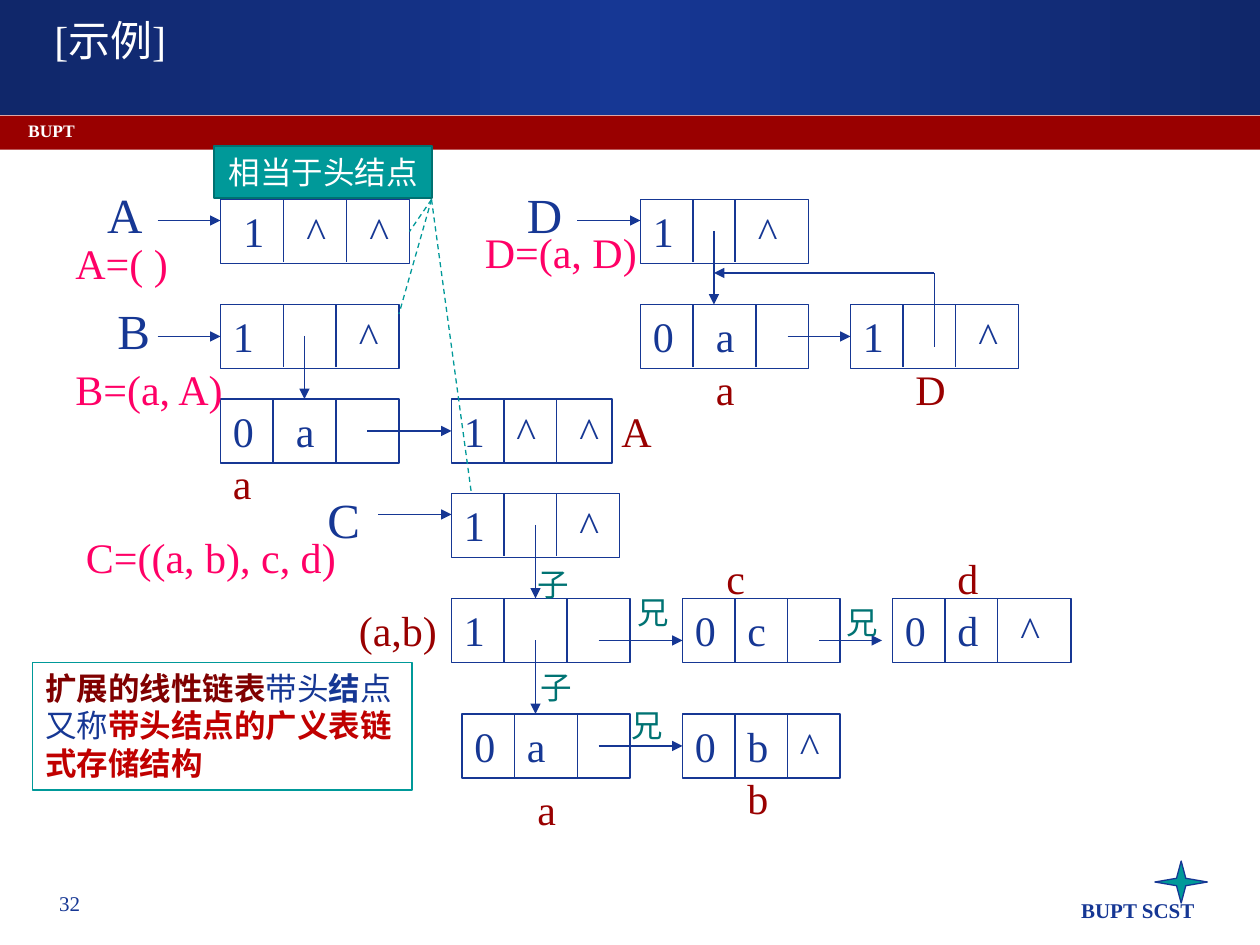
from copy import deepcopy
from dataclasses import dataclass

from lxml import etree
from pptx import Presentation
from pptx.dml.color import RGBColor
from pptx.enum import dml, shapes, text
from pptx.oxml.ns import qn
from pptx.util import Cm, Pt

SERIF = "Times New Roman"
HAN = "Noto Sans CJK SC"
NAVY, RED, PINK, TEAL, GREEN = "163794", "990000", "FF0066", "009999", "007373"
WHITE = "FFFFFF"
NODE_HEIGHT = 6.1
LEFT_SIDE, RIGHT_SIDE = 1, 3


@dataclass
class Node:
    key: str
    x: float
    y: float
    width: float
    dividers: tuple[float, ...]
    cells: tuple[tuple[float, str], ...]


@dataclass
class Label:
    x: float
    y: float
    wording: str
    color: str
    size: float = 24
    font: str = SERIF


@dataclass
class Line:
    start: tuple[float, float]
    end: tuple[float, float] | str
    side: int = LEFT_SIDE
    arrow: bool = True
    dashed: bool = False


NODES = [
    Node("A", 21, 19, 18, (6, 12), ((1, "1"), (7, "^"), (13, "^"))),
    Node("B", 21, 29, 17, (6, 11), ((0, "1"), (12, "^"))),
    Node("B.a", 21, 38, 17, (5, 11), ((0, "0"), (6, "a"))),
    Node("B.A", 43, 38, 15.3, (5, 10), ((0, "1"), (5, "^"), (11, "^"))),
    Node("C", 43, 47, 16, (5, 10), ((0, "1"), (11, "^"))),
    Node("C.ab", 43, 57, 17, (5, 11), ((0, "1"),)),
    Node("C.c", 65, 57, 15, (5, 10), ((0, "0"), (5, "c"))),
    Node("C.d", 85, 57, 17, (5, 10), ((0, "0"), (5, "d"), (11, "^"))),
    Node("C.a", 44, 68, 16, (5, 11), ((0, "0"), (5, "a"))),
    Node("C.b", 65, 68, 15, (5, 10), ((0, "0"), (5, "b"), (10, "^"))),
    Node("D", 61, 19, 16, (5, 9), ((0, "1"), (10, "^"))),
    Node("D.a", 61, 29, 16, (5, 11), ((0, "0"), (6, "a"))),
    Node("D.D", 81, 29, 16, (5, 10), ((0, "1"), (11, "^"))),
]

LABELS = [
    Label(10, 28, "B", NAVY, 28), Label(30, 46, "C", NAVY, 28), Label(49, 17, "D", NAVY, 28),
    Label(6, 22, "A=( )", PINK), Label(6, 34, "B=(a, A)", PINK),
    Label(7, 50, "C=((a, b), c, d)", PINK), Label(45, 21, "D=(a, D)", PINK),
    Label(67, 34, "a", RED), Label(86, 34, "D", RED), Label(21, 43, "a", RED),
    Label(58, 38, "A", RED), Label(33, 57, "(a,b)", RED), Label(68, 52, "c", RED),
    Label(90, 52, "d", RED), Label(50, 74, "a", RED), Label(70, 73, "b", RED),
    Label(50, 53.2, "子", GREEN, 18, HAN), Label(59.5, 55.9, "兄", GREEN, 18, HAN),
    Label(50.3, 63.1, "子", GREEN, 18, HAN), Label(79.4, 56.9, "兄", GREEN, 18, HAN),
    Label(59, 66.7, "兄", GREEN, 18, HAN),
]

CORNER = (41.1, 19)
LINES = [
    Line((15, 21), (21, 21)), Line((15, 32.05), "B"), Line((29, 32), (29, 38)),
    Line((35, 41.05), "B.A"), Line((36, 49), (43, 49)), Line((51, 50), (51, 57)),
    Line((57, 61), (65, 61)), Line((78, 61), (84, 61)), Line((51, 61), (51, 68)),
    Line((57, 71.05), "C.b"), Line((55, 21), (61, 21)), Line((68, 22), (68, 29)),
    Line((75, 32.05), "D.D"), Line((89, 33), (89, 26), arrow=False), Line((89, 26), (68, 26)),
    Line(CORNER, "A", RIGHT_SIDE, arrow=False, dashed=True),
    Line(CORNER, (38, 29.9), arrow=False, dashed=True),
    Line(CORNER, (44.9, 47), arrow=False, dashed=True),
]

NOTE = [
    ("扩展的线性链表", "800000", True), ("带头", NAVY, False), ("结", NAVY, True),
    ("点又称", NAVY, False), ("带头结点的广义表链式存储结构", "C00000", True),
]


def grid(twelfths: float) -> Cm:
    return Cm(twelfths * 2.54 / 12)


def rgb(color: str) -> RGBColor:
    return RGBColor.from_string(color)


def style(paragraph, size: float, color: str, font: str = SERIF, bold: bool = False) -> None:
    paragraph.font.size = Pt(size)
    paragraph.font.name = font
    paragraph.font.bold = bold
    paragraph.font.color.rgb = rgb(color)
    defaults = paragraph._p.pPr.find(qn("a:defRPr"))
    etree.SubElement(defaults, qn("a:ea"), typeface=HAN)
    if font == HAN:
        paragraph.line_spacing = Pt(21.5)


def add_words(slide, x, y, width, height, wording, size, color, font=SERIF, bold=False,
              align=text.PP_ALIGN.LEFT) -> None:
    frame = slide.shapes.add_textbox(x, y, width, height).text_frame
    frame.word_wrap = True
    paragraph = frame.paragraphs[0]
    paragraph.text = wording
    paragraph.alignment = align
    style(paragraph, size, color, font, bold)


def add_box(slide, x, y, width, height, fill=None, line=None, weight=0.75,
            preset=shapes.MSO_SHAPE.RECTANGLE):
    box = slide.shapes.add_shape(preset, x, y, width, height)
    box.shadow.inherit = False
    if fill:
        box.fill.solid()
        box.fill.fore_color.rgb = rgb(fill)
    else:
        box.fill.background()
    if line:
        box.line.color.rgb = rgb(line)
        box.line.width = Pt(weight)
    else:
        box.line.fill.background()
    box.text_frame.vertical_anchor = text.MSO_ANCHOR.TOP
    box.text_frame.paragraphs[0].alignment = text.PP_ALIGN.LEFT
    return box


def add_line(slide, start, end, color: str = NAVY):
    line = slide.shapes.add_connector(
        shapes.MSO_CONNECTOR.STRAIGHT, *map(grid, start), *map(grid, end))
    line.line.color.rgb = rgb(color)
    line.line.width = Pt(0.75)
    etree.SubElement(line._element.spPr, qn("a:effectLst"))
    return line


def draw_node(slide, node: Node):
    box = add_box(slide, grid(node.x), grid(node.y), grid(node.width), grid(NODE_HEIGHT), line=NAVY)
    first = node.cells[0][0]
    box.text_frame.margin_left = Cm(0.25) + grid(first)
    box.text_frame.margin_right = 0
    paragraph = box.text_frame.paragraphs[0]
    paragraph.text = "\t".join(mark for _, mark in node.cells)
    if len(node.cells) > 1:
        tabs = etree.SubElement(paragraph._p.get_or_add_pPr(), qn("a:tabLst"))
        for offset, _ in node.cells[1:]:
            etree.SubElement(tabs, qn("a:tab"), pos=str(grid(offset - first)), algn="l")
    style(paragraph, 24, NAVY)
    for divider in node.dividers:
        x = node.x + divider
        add_line(slide, (x, node.y), (x, node.y + 6))
    return box


def draw_line(slide, spec: Line, boxes: dict) -> None:
    joined = isinstance(spec.end, str)
    line = add_line(slide, spec.start, spec.start if joined else spec.end,
                    TEAL if spec.dashed else NAVY)
    if joined:
        line.end_connect(boxes[spec.end], spec.side)
    if spec.dashed:
        line.line.dash_style = dml.MSO_LINE.DASH
    if spec.arrow:
        etree.SubElement(line.line._get_or_add_ln(), qn("a:tailEnd"), type="triangle")


def draw_banner(slide) -> None:
    band = add_box(slide, 0, 0, Cm(25.4), Cm(2.32), fill=NAVY)
    band.fill.gradient()
    band.fill.gradient_angle = 0
    stops = band._element.spPr.find(".//" + qn("a:gsLst"))
    stops.append(deepcopy(stops[0]))
    for stop, place, color in zip(band.fill.gradient_stops, (0, 0.5, 1), ("10276A", NAVY, "10276A")):
        stop.position = place
        stop.color.rgb = rgb(color)
    add_box(slide, 0, Cm(2.33), Cm(25.4), Cm(0.69), fill=RED)
    add_words(slide, Cm(0.32), Cm(2.29), Cm(23.5), Cm(0.64), "BUPT", 10, WHITE, bold=True)


def fill_placeholder(holder, x, y, width, height, wording, size, color) -> None:
    holder.left, holder.top, holder.width, holder.height = x, y, width, height
    frame = holder.text_frame
    frame.auto_size = text.MSO_AUTO_SIZE.NONE
    paragraph = frame.paragraphs[0]
    paragraph.text = wording
    paragraph.alignment = text.PP_ALIGN.LEFT
    paragraph.space_before = Pt(0)
    properties = paragraph._p.get_or_add_pPr()
    properties.set("marL", "0")
    properties.set("indent", "0")
    etree.SubElement(properties, qn("a:buNone"))
    style(paragraph, size, color)


def main() -> None:
    deck = Presentation()
    deck.slide_width, deck.slide_height = Cm(25.4), Cm(19.05)
    slide = deck.slides.add_slide(deck.slide_layouts[1])
    title, body = slide.placeholders
    draw_banner(slide)
    slide.shapes._spTree.append(title._element)
    fill_placeholder(title, Cm(0.84), Cm(0.43), Cm(23.5), Cm(0.74), "[示例]", 24, WHITE)
    fill_placeholder(body, grid(9), grid(17), grid(102), grid(63), "A", 28, NAVY)

    boxes = {node.key: draw_node(slide, node) for node in NODES}
    for label in LABELS:
        add_words(slide, grid(label.x), grid(label.y), grid(len(label.wording) + 12), grid(6),
                  label.wording, label.size, label.color, label.font)

    heading = add_box(slide, Cm(4.32), Cm(2.95), Cm(4.39), Cm(1.04), TEAL, "007171", 1)
    heading.text_frame.vertical_anchor = text.MSO_ANCHOR.MIDDLE
    caption = heading.text_frame.paragraphs[0]
    caption.text = "相当于头结点"
    caption.alignment = text.PP_ALIGN.CENTER
    style(caption, 18, WHITE, HAN)

    note = add_box(slide, Cm(0.66), Cm(13.36), Cm(7.65), Cm(2.57), line=TEAL)
    sentence = note.text_frame.paragraphs[0]
    style(sentence, 18, NAVY, HAN)
    for wording, color, bold in NOTE:
        run = sentence.add_run()
        run.text = wording
        run.font.color.rgb = rgb(color)
        run.font.bold = bold

    for line in LINES:
        draw_line(slide, line, boxes)

    star = add_box(slide, grid(110), grid(82), grid(5), grid(4), TEAL, NAVY,
                   preset=shapes.MSO_SHAPE.STAR_4_POINT)
    star.adjustments[0] = 0.125
    add_words(slide, Cm(10.69), Cm(17.96), Cm(13.64), Cm(0.89), "BUPT SCST", 12, NAVY,
              bold=True, align=text.PP_ALIGN.RIGHT)
    add_words(slide, Cm(0.3), Cm(17.83), Cm(2.21), Cm(0.89), "32", 12, NAVY,
              align=text.PP_ALIGN.CENTER)
    deck.save("out.pptx")


if __name__ == "__main__":
    main()
